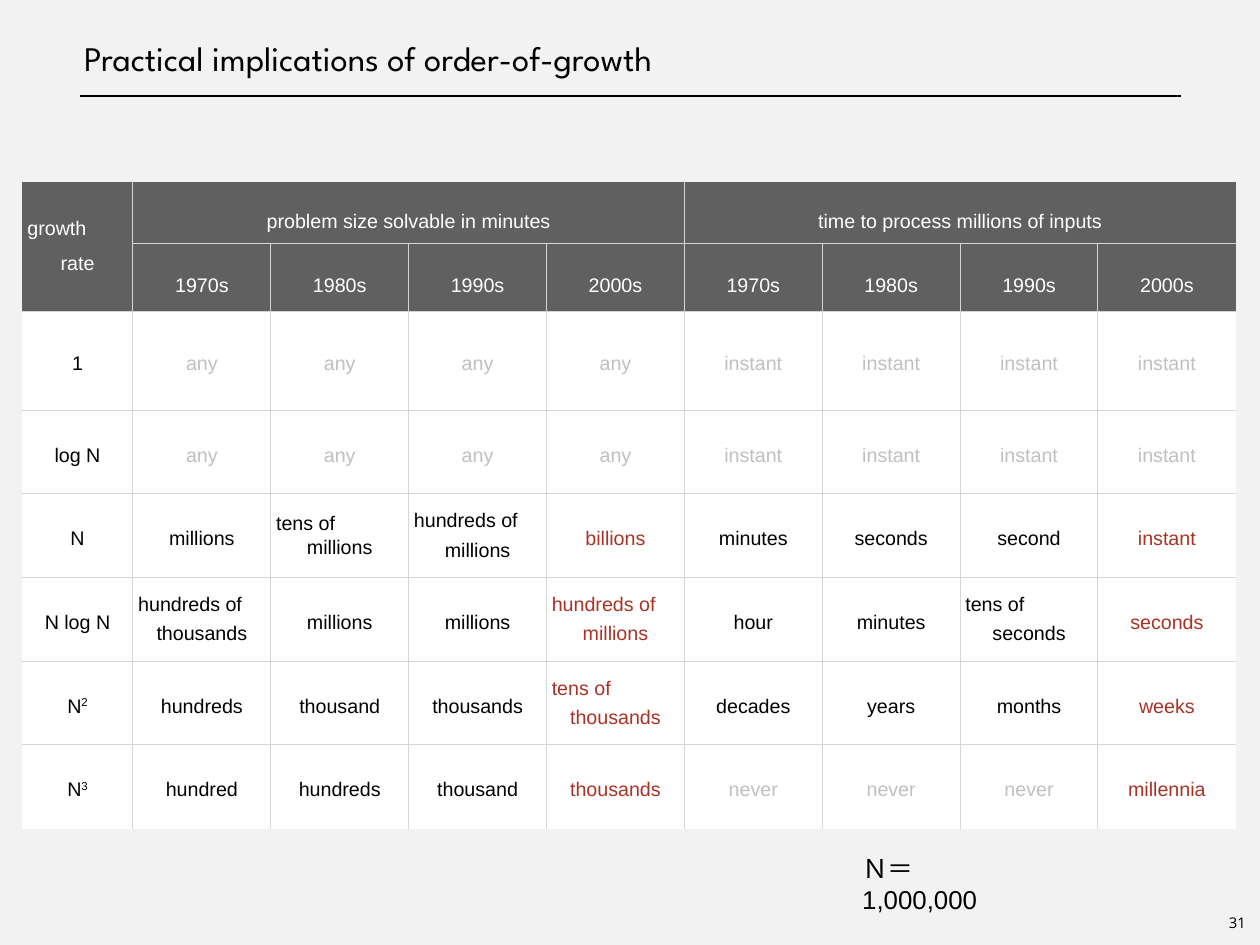
from lxml import etree
from pptx import Presentation
from pptx.dml.color import RGBColor
from pptx.enum.text import MSO_ANCHOR as ANCHOR, PP_ALIGN as ALIGN
from pptx.oxml.ns import qn
from pptx.util import Inches, Pt

COLORS = {"paper": "F2F2F2", "head": "606060", "white": "FFFFFF", "black": "000000",
          "muted": "C0C0C0", "red": "AB3226", "border": "D6D6D6"}
INSET = Inches(0.06)
DECADES = ["1970s", "1980s", "1990s", "2000s"]
ROWS = [
    ["growth\nrate", "problem size solvable in minutes", "", "", "",
     "time to process millions of inputs", "", "", ""],
    [""] + DECADES * 2,
    ["1"] + ["any"] * 4 + ["instant"] * 4,
    ["log N"] + ["any"] * 4 + ["instant"] * 4,
    ["N", "millions", "tens of\nmillions", "hundreds of\nmillions", "billions",
     "minutes", "seconds", "second", "instant"],
    ["N log N", "hundreds of\nthousands", "millions", "millions", "hundreds of\nmillions",
     "hour", "minutes", "tens of\nseconds", "seconds"],
    ["N^2", "hundreds", "thousand", "thousands", "tens of\nthousands",
     "decades", "years", "months", "weeks"],
    ["N^3", "hundred", "hundreds", "thousand", "thousands",
     "never", "never", "never", "millennia"],
]
HEIGHTS = [0.7, 0.74, 1.12] + [0.945] * 5
TABLE_W, FIRST_W = 13.7, 1.25
LAST_ROW, LAST_COL = len(ROWS) - 1, len(ROWS[0]) - 1


def style(r, size, name, color):
    r.font.size, r.font.name, r.font.bold = Pt(size), name, False
    r.font.color.rgb = RGBColor.from_string(COLORS[color])


def add_border(cell, side, visible):
    ln = etree.SubElement(cell._tc.get_or_add_tcPr(), qn(f"a:ln{side}"), w=str(Pt(1)))
    if visible:
        fill = etree.SubElement(ln, qn("a:solidFill"))
        etree.SubElement(fill, qn("a:srgbClr"), val=COLORS["border"])
    else:
        etree.SubElement(ln, qn("a:noFill"))


prs = Presentation()
prs.slide_width, prs.slide_height = Inches(14.22), Inches(10.67)
s = prs.slides.add_slide(prs.slide_layouts[5])
s.background.fill.solid()
s.background.fill.fore_color.rgb = RGBColor.from_string(COLORS["paper"])

# Title and rule
title = s.shapes.title
title.left, title.top, title.width, title.height = map(Inches, (0.89, 0, 12.44, 0.89))
tf = title.text_frame
tf.text = "Practical implications of order-of-growth"
tf.vertical_anchor = ANCHOR.BOTTOM
tf.margin_left = INSET
tf.margin_right = tf.margin_top = tf.margin_bottom = 0
tf.paragraphs[0].alignment = ALIGN.LEFT
style(tf.paragraphs[0].runs[0], 28, "League Spartan", "black")

rule = s.shapes.add_connector(1, *map(Inches, (0.9, 1.08, 13.33, 1.08)))
rule.line.width = Pt(1.5)
rule.line.color.rgb = RGBColor.from_string(COLORS["black"])
etree.SubElement(rule._element.spPr, qn("a:effectLst"))

# Growth table
table = s.shapes.add_table(len(ROWS), len(ROWS[0]), Inches(0.25), Inches(2.05),
                           Inches(TABLE_W), Inches(sum(HEIGHTS))).table
table.first_row = table.horz_banding = False
for row, height in zip(table.rows, HEIGHTS):
    row.height = Inches(height)
for c, column in enumerate(table.columns):
    column.width = Inches((TABLE_W - FIRST_W) / LAST_COL if c else FIRST_W)
table.cell(0, 0).merge(table.cell(1, 0))
for c in (1, 5):
    table.cell(0, c).merge(table.cell(0, c + 3))

for i, texts in enumerate(ROWS):
    for c, text in enumerate(texts):
        cell = table.cell(i, c)
        if cell.is_spanned:
            continue
        end = c + (cell.span_width if cell.is_merge_origin else 1) - 1
        for side, visible in (("L", c > 0), ("R", end < LAST_COL),
                              ("T", i > 0), ("B", i < LAST_ROW)):
            add_border(cell, side, visible)
        header = i < 2
        cell.fill.solid()
        cell.fill.fore_color.rgb = RGBColor.from_string(COLORS["head" if header else "white"])
        cell.vertical_anchor = ANCHOR.MIDDLE
        cell.margin_left = cell.margin_right = cell.margin_top = cell.margin_bottom = INSET

        if header:
            color, spacing = "white", Pt(32) if c else 1.6
        else:
            spacing = 1.3
            if c and (i < 4 or text == "never"):
                color = "muted"
            else:
                color = "red" if c in (4, 8) else "black"
            if "\n" in text:
                spacing = Pt(20) if (i, c) == (4, 2) else Pt(24)

        tf = cell.text_frame
        base, _, power = text.partition("^")
        tf.text = base
        for p in tf.paragraphs:
            p.alignment = ALIGN.CENTER
            p.line_spacing = spacing
        if "\n" in text:
            tf.paragraphs[0].alignment = ALIGN.LEFT
            tf.paragraphs[0].line_spacing = 1.0
        if power:
            r = tf.paragraphs[0].add_run()
            r.text = power
            r._r.get_or_add_rPr().set("baseline", "32000")
        for p in tf.paragraphs:
            for r in p.runs:
                style(r, 16, "Arial", color)

# Input size and slide number
for text, box, right_inset, size, name, align in (
        ("Ｎ＝1,000,000", (9.67, 9.72, 2.01, 0.51), 0.4, 21, "Arial", ALIGN.LEFT),
        ("31", (13.71, 10.26, 0.51, 0.31), 0.06, 12, "Open Sans", ALIGN.CENTER)):
    tf = s.shapes.add_textbox(*map(Inches, box)).text_frame
    tf.text = text
    tf.word_wrap = True
    tf.vertical_anchor = ANCHOR.MIDDLE
    tf.margin_left = tf.margin_top = tf.margin_bottom = INSET
    tf.margin_right = Inches(right_inset)
    tf.paragraphs[0].alignment = align
    style(tf.paragraphs[0].runs[0], size, name, "black")

prs.save("out.pptx")
